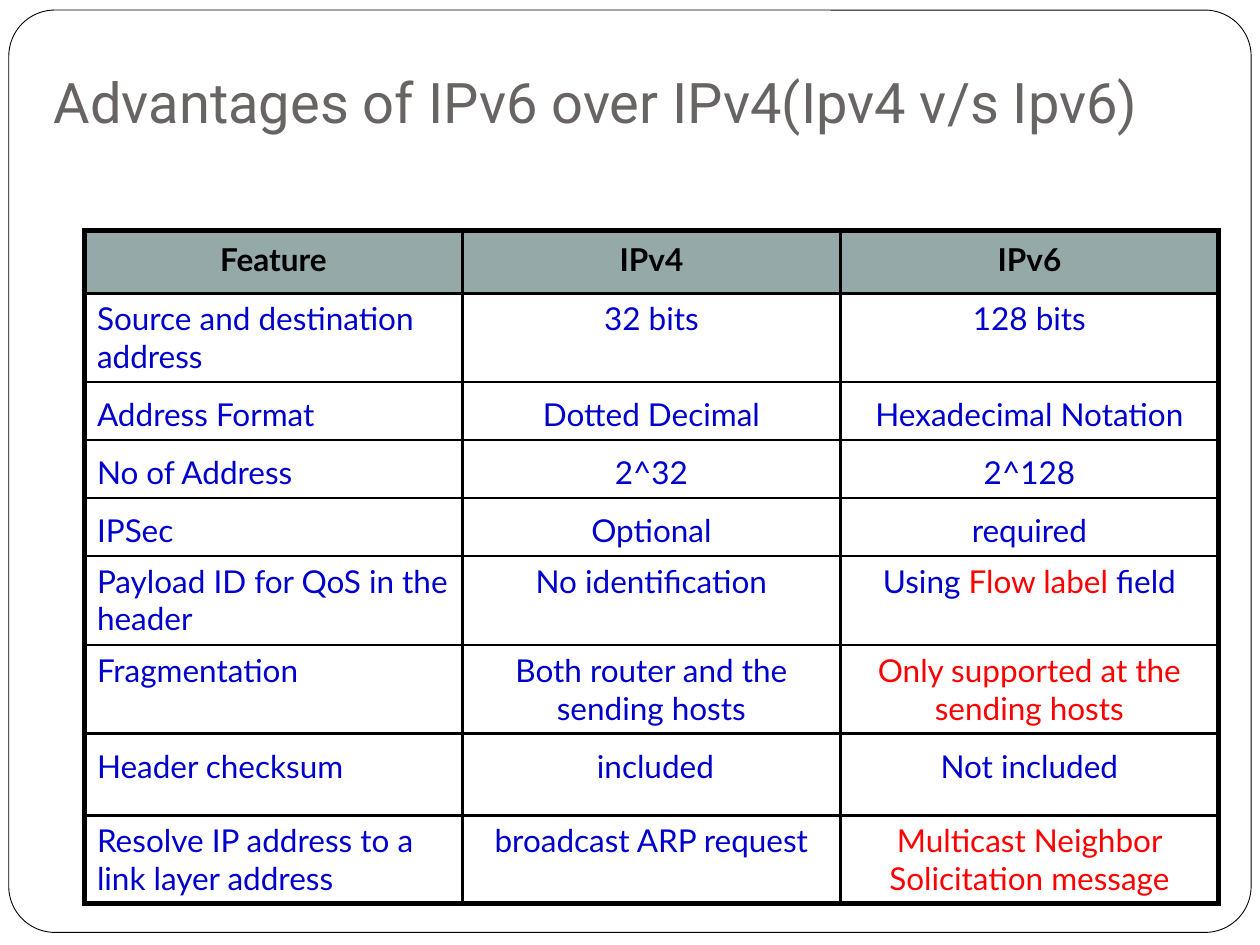
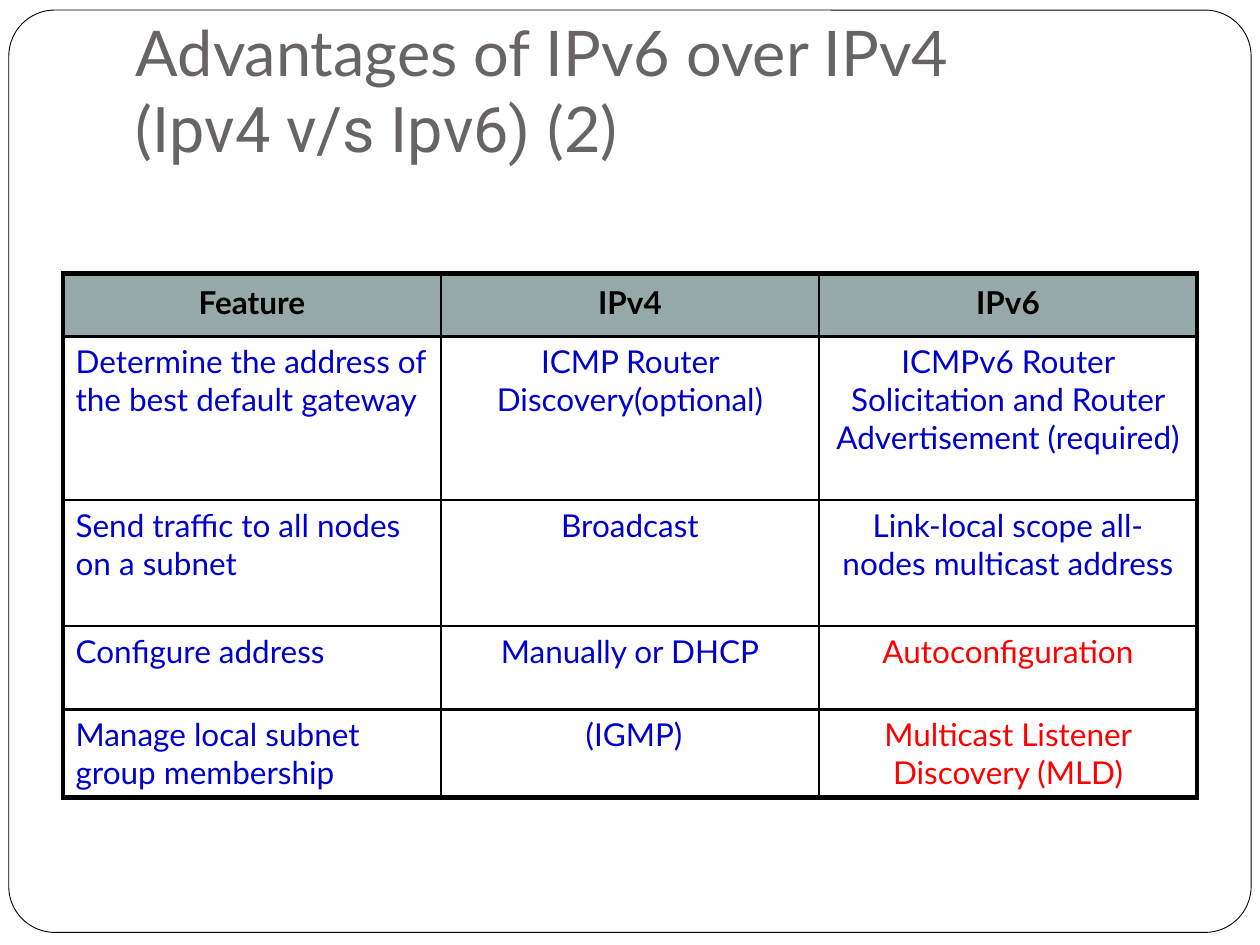
from lxml import etree
from pptx import Presentation
from pptx import util as u
from pptx.dml.color import RGBColor
from pptx.enum import shapes, text
from pptx.oxml import ns

WHITE = RGBColor(0xFF, 0xFF, 0xFF)
BLACK = RGBColor(0, 0, 0)
GREY = RGBColor(0x69, 0x64, 0x64)
SAGE = RGBColor(0x96, 0xA9, 0xA9)
BLUE = RGBColor(0, 0, 0xCC)
RED = RGBColor(0xFF, 0, 0)
SANS, TITLE_SANS = "Lato", "Roboto"
THIN, THICK = u.Pt(1.5), u.Pt(3)
HEADER, PLAIN, AIRY = (1.1, 20), (None, 20), (1.2, 30)
HEADINGS = ("Feature", "IPv4", "IPv6")
COLUMN_WIDTH = 3

BASIC_ROWS = [
    (0.7, PLAIN, ("Source and destination address", "32 bits", "128 bits")),
    (0.46, AIRY, ("Address Format", "Dotted Decimal", "Hexadecimal Notation")),
    (0.46, AIRY, ("No of Address", "2^32", "2^128")),
    (0.46, AIRY, ("IPSec", "Optional", "required")),
    (0.71, PLAIN, ("Payload ID for QoS in the header", "No identification",
                   "Using |Flow label| field")),
    (0.7, PLAIN, ("Fragmentation", "Both router and the sending hosts",
                  "|Only supported at the sending hosts")),
    (0.65, AIRY, ("Header checksum", " included", "Not included")),
    (0.7, PLAIN, ("Resolve IP address to a link layer address", "broadcast ARP request",
                  "|Multicast Neighbor Solicitation message")),
]
NETWORK_ROWS = [
    (1.3, PLAIN, ("Determine the address of the best default gateway",
                  "ICMP Router Discovery(optional)",
                  "ICMPv6 Router Solicitation and Router Advertisement (required)")),
    (1, PLAIN, ("Send traffic to all nodes on a subnet", "Broadcast",
                "Link-local scope all-nodes multicast address")),
    (0.66, PLAIN, ("Configure address", "Manually or DHCP", "|Autoconfiguration")),
    (0.7, PLAIN, ("Manage local subnet group membership", " (IGMP)",
                  "|Multicast Listener Discovery (MLD)")),
]


class Slides:
    """Holds the deck, its style and the current page."""

    def __init__(self):
        self.deck = Presentation()
        self.deck.slide_width, self.deck.slide_height = u.Inches(10), u.Inches(7.5)

    def new_page(self):
        self.page = self.deck.slides.add_slide(self.deck.slide_layouts[6])
        frame = self.page.shapes.add_shape(
            shapes.MSO_SHAPE.ROUNDED_RECTANGLE, *map(u.Inches, (0.07, 0.08, 9.86, 7.32)))
        frame.adjustments[0] = 0.05
        frame.shadow.inherit = False
        frame.fill.solid()
        frame.fill.fore_color.rgb = WHITE
        frame.line.color.rgb = BLACK
        frame.line.width = u.Pt(0.5)

    def span(self, para, words, color, **format_values):
        span = para.add_run()
        span.text = words
        span.font.color.rgb = color
        for name, value in format_values.items():
            setattr(span.font, name, value)

    def title(self, place, size, lines):
        box = self.page.shapes.add_textbox(*map(u.Inches, place))
        frame_values = {
            "word_wrap": True, "vertical_anchor": text.MSO_ANCHOR.BOTTOM,
            "margin_left": u.Inches(0.1), "margin_right": u.Inches(0.1),
            "margin_top": u.Inches(0.05), "margin_bottom": u.Inches(0.1),
        }
        for name, value in frame_values.items():
            setattr(box.text_frame, name, value)
        para = box.text_frame.paragraphs[0]
        for number, line in enumerate(lines):
            if number:
                para.add_line_break()
            for words, font in line:
                self.span(para, words, GREY, name=font, size=u.Pt(size))

    def borders(self, cell, widths):
        properties = cell._tc.get_or_add_tcPr()
        for side, width in zip("LRTB", widths):
            line = etree.SubElement(properties, ns.qn(f"a:ln{side}"), w=str(width))
            fill = etree.SubElement(line, ns.qn("a:solidFill"))
            etree.SubElement(fill, ns.qn("a:srgbClr"), val=str(BLACK))

    def space_before(self, para, percent):
        space = para._p.get_or_add_pPr()._add_spcBef()
        etree.SubElement(space, ns.qn("a:spcPct"), val=str(percent * 1000))

    def cell(self, cell, words, spacing, centred, heading):
        if heading:
            cell.fill.solid()
            cell.fill.fore_color.rgb = SAGE
        else:
            cell.fill.background()
        para = cell.text_frame.paragraphs[0]
        para.line_spacing, percent = spacing
        self.space_before(para, percent)
        para.alignment = text.PP_ALIGN.CENTER if centred else text.PP_ALIGN.LEFT
        for number, part in enumerate(words.split("|")):
            if part:
                color = BLACK if heading else (BLUE, RED)[number % 2]
                self.span(para, part, color, name=SANS, size=u.Pt(18), bold=heading)

    def comparison(self, left, top, body):
        """Draw a feature table; bars in a cell's words switch between blue and red."""
        rows = [(0.5, HEADER, HEADINGS), *body]
        count = len(HEADINGS)
        height = sum(row[0] for row in rows)
        table = self.page.shapes.add_table(
            len(rows), count, *map(u.Inches, (left, top, COLUMN_WIDTH * count, height))).table
        table.first_row = table.horz_banding = False
        for column in table.columns:
            column.width = u.Inches(COLUMN_WIDTH)
        for r, (row_height, spacing, entries) in enumerate(rows):
            table.rows[r].height = u.Inches(row_height)
            for c, words in enumerate(entries):
                outer = (c == 0, c == count - 1, r == 0, r == len(rows) - 1)
                cell = table.cell(r, c)
                self.borders(cell, [THICK if edge else THIN for edge in outer])
                self.cell(cell, words, spacing, centred=r == 0 or c > 0, heading=r == 0)


def main():
    slides = Slides()
    slides.new_page()
    slides.title((0.33, 0, 9.67, 1.17), 32,
                 [[("Advantages of IPv6 over IPv4(Ipv4 v/s Ipv6)", TITLE_SANS)]])
    slides.comparison(0.67, 1.83, BASIC_ROWS)

    slides.new_page()
    slides.title((0.98, 0.3, 8.35, 1.11), 36,
                 [[("Advantages of IPv6 over IPv4", SANS)],
                  [("(", SANS), ("Ipv4 v/s Ipv6)", TITLE_SANS), (" (2)", SANS)]])
    slides.comparison(0.5, 2.17, NETWORK_ROWS)
    slides.deck.save("out.pptx")


if __name__ == "__main__":
    main()
